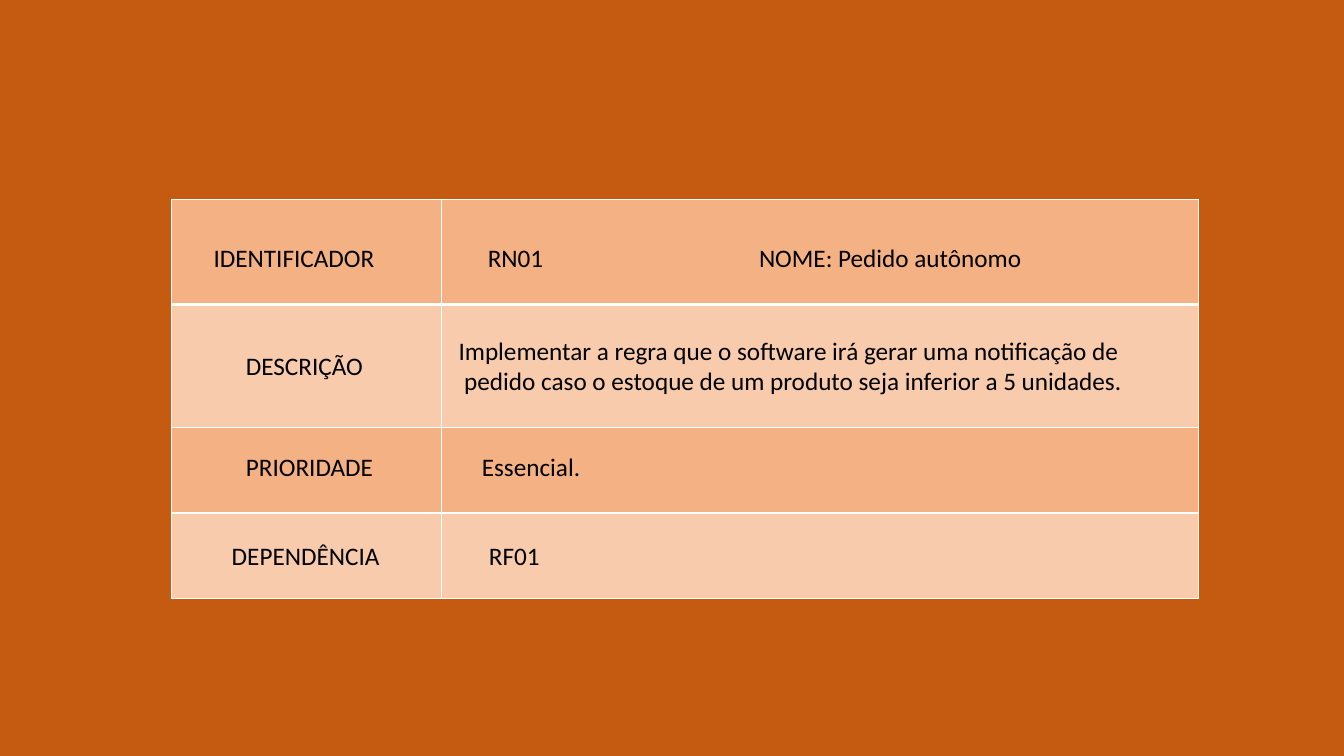
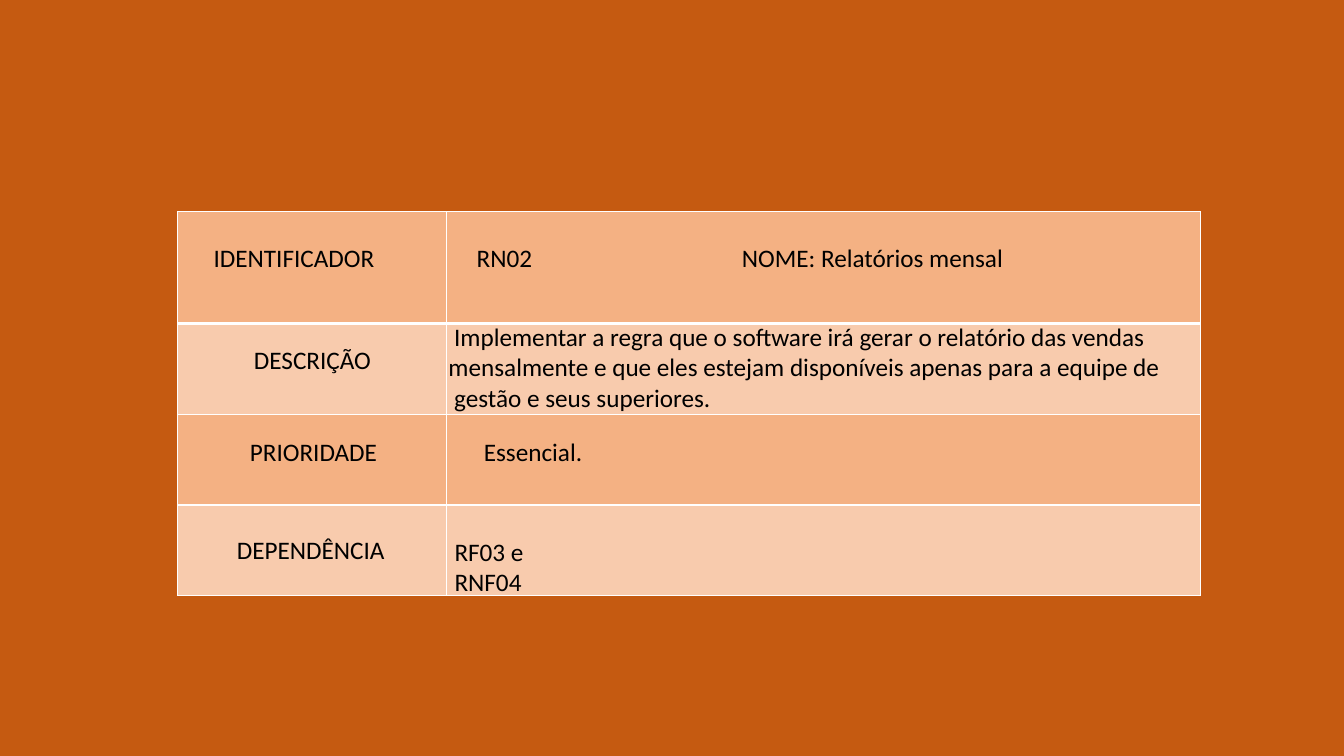
import pptx
import pptx.dml.color
import pptx.enum.text
import pptx.util
from lxml import etree
from pptx.oxml.ns import qn

Inches = pptx.util.Inches
RGBColor = pptx.dml.color.RGBColor

BACKGROUND = RGBColor(0xC5, 0x5A, 0x11)
DARK_ROW = RGBColor(0xF4, 0xB1, 0x83)
LIGHT_ROW = RGBColor(0xF8, 0xCB, 0xAD)
BORDER = RGBColor(0xFF, 0xFF, 0xFF)
TEXT = RGBColor(0x00, 0x00, 0x00)
FONT = "Calibri"

LINE_HEIGHT = 0.3
BOX_PADDING = 0.1


def set_tab_stops(para, stops):
    tab_list = etree.SubElement(para._p.get_or_add_pPr(), qn("a:tabLst"))
    for stop in stops:
        etree.SubElement(tab_list, qn("a:tab"), pos=str(Inches(stop)), algn="l")


def add_text(slide, text, left, top, width, *, wrap=True, tabs=(), size=18, color=TEXT):
    """Add a text box whose height follows its number of lines."""
    lines = text.split("\n")
    height = BOX_PADDING + LINE_HEIGHT * len(lines)
    box = slide.shapes.add_textbox(Inches(left), Inches(top), Inches(width), Inches(height))
    frame = box.text_frame
    frame.word_wrap = wrap
    frame.auto_size = pptx.enum.text.MSO_AUTO_SIZE.SHAPE_TO_FIT_TEXT
    for index, line in enumerate(lines):
        para = frame.paragraphs[0] if index == 0 else frame.add_paragraph()
        if tabs:
            set_tab_stops(para, tabs)
        span = para.add_run()
        span.text = line
        span.font.name = FONT
        span.font.size = pptx.util.Pt(size)
        span.font.color.rgb = color


def set_borders(cell, top, bottom):
    """Draw the four cell borders; top and bottom are widths in points."""
    properties = cell._tc.get_or_add_tcPr()
    for side, width in (("L", 1), ("R", 1), ("T", top), ("B", bottom)):
        line = etree.SubElement(properties, qn(f"a:ln{side}"), w=str(pptx.util.Pt(width)))
        fill = etree.SubElement(line, qn("a:solidFill"))
        etree.SubElement(fill, qn("a:srgbClr"), val=str(BORDER))


def add_banded_table(slide, left, top, columns, rows):
    frame = slide.shapes.add_table(
        len(rows), len(columns), Inches(left), Inches(top),
        Inches(sum(columns)), Inches(sum(rows)))
    table = frame.table
    for column, width in zip(table.columns, columns):
        column.width = Inches(width)
    for index, (row, height) in enumerate(zip(table.rows, rows)):
        row.height = Inches(height)
        for cell in row.cells:
            set_borders(cell, top=3 if index == 1 else 1, bottom=3 if index == 0 else 1)
            cell.fill.solid()
            cell.fill.fore_color.rgb = LIGHT_ROW if index % 2 else DARK_ROW


def add_rule_slide(deck, *, table, identifier, name, tabs, labels, values):
    """Add one business rule; labels and values are placed over the table."""
    slide = deck.slides.add_slide(deck.slide_layouts[6])
    add_banded_table(slide, *table)
    add_text(slide, f"IDENTIFICADOR\t{identifier}\tNOME: {name}", 2.02, 2.35, 9.37, tabs=tabs)
    names = (("DESCRIÇÃO", 1.55), ("PRIORIDADE", 1.55), ("DEPENDÊNCIA", 1.68))
    for (label, width), (left, top) in zip(names, labels):
        add_text(slide, label, left, top, width, wrap=label != "DEPENDÊNCIA")
    for text, left, top, width in values:
        add_text(slide, text, left, top, width, wrap=False)


def main():
    deck = pptx.Presentation()
    deck.slide_width = Inches(13.33)
    deck.slide_height = Inches(7.5)
    background = deck.slide_master.background.fill
    background.solid()
    background.fore_color.rgb = BACKGROUND

    add_rule_slide(
        deck,
        table=(1.7, 1.98, (2.68, 7.51), (1.04, 1.22, 0.85, 0.85)),
        identifier="RN01",
        name="Pedido autônomo",
        tabs=(2.72, 5.41),
        labels=((2.34, 3.43), (2.34, 4.43), (2.2, 5.31)),
        values=(
            ("Implementar a regra que o software irá gerar uma notificação de\n"
             " pedido caso o estoque de um produto seja inferior a 5 unidades.",
             4.45, 3.28, 6.86),
            ("Essencial.", 4.68, 4.43, 1.19),
            ("RF01", 4.75, 5.31, 0.71),
        ))
    add_rule_slide(
        deck,
        table=(1.76, 2.1, (2.67, 7.48), (1.11, 0.9, 0.9, 0.9)),
        identifier="RN02",
        name="Relatórios mensal",
        tabs=(2.61, 5.24),
        labels=((2.42, 3.37), (2.38, 4.28), (2.25, 5.25)),
        values=(
            (" Implementar a regra que o software irá gerar o relatório das vendas\n"
             "mensalmente e que eles estejam disponíveis apenas para a equipe de\n"
             " gestão e seus superiores.",
             4.35, 3.14, 7.34),
            ("Essencial.", 4.7, 4.28, 1.19),
            ("RF03 e RNF04", 4.41, 5.27, 1.6),
        ))
    deck.save("out.pptx")


if __name__ == "__main__":
    main()
